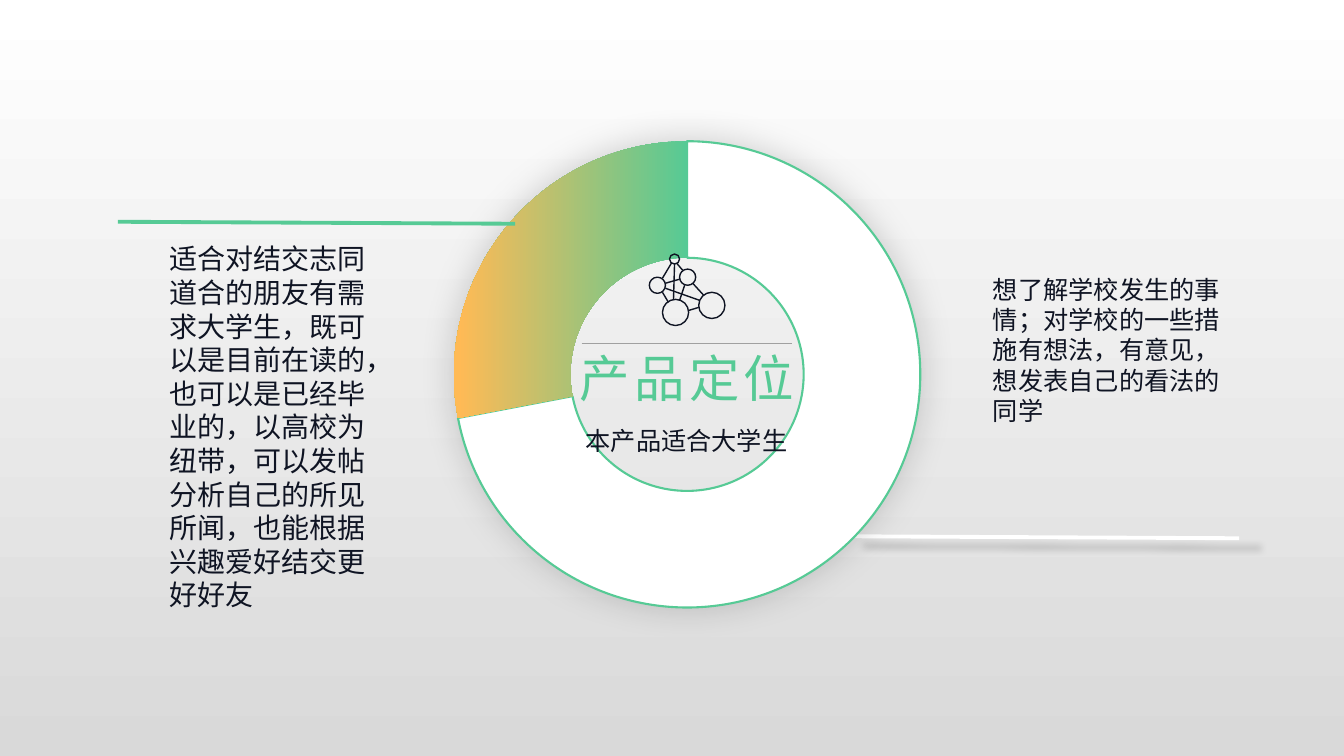
from math import pi

from lxml import etree
from pptx import Presentation
from pptx.chart.data import CategoryChartData
from pptx.dml.color import RGBColor
from pptx.enum.chart import XL_CHART_TYPE
from pptx.enum.shapes import MSO_CONNECTOR, MSO_SHAPE
from pptx.enum.text import MSO_ANCHOR, PP_ALIGN
from pptx.oxml import parse_xml
from pptx.oxml.ns import nsdecls, qn
from pptx.util import Inches, Pt

STRAIGHT = MSO_CONNECTOR.STRAIGHT
DONUT = MSO_SHAPE.DONUT
RING = XL_CHART_TYPE.DOUGHNUT
LEFT, CENTER = PP_ALIGN.LEFT, PP_ALIGN.CENTER
TOP = MSO_ANCHOR.TOP

FONT = "Noto Sans CJK SC"
GREEN, ORANGE, WHITE, INK = "56CA95", "FFBA55", "FFFFFF", "0F1423"

# Network icon: circles as (x, y, radius), then link ends
NODES = [(6.69, 2.57, 0.05), (6.52, 2.83, 0.08), (6.7, 3.1, 0.13),
         (6.82, 2.75, 0.08), (7.06, 3.03, 0.13)]
LINKS = [((6.93, 3.05), (6.83, 3.08)), ((6.6, 2.81), (6.74, 2.77)),
         ((6.74, 2.98), (6.79, 2.83)), ((6.63, 3), (6.57, 2.9)),
         ((6.94, 2.98), (6.6, 2.86)), ((6.66, 2.61), (6.57, 2.76)),
         ((6.98, 2.93), (6.87, 2.81)), ((6.68, 2.97), (6.69, 2.62)),
         ((6.71, 2.61), (6.77, 2.68))]
# Pull of a cubic curve that draws a quarter circle
PULL = 4 / 3 * (2 ** 0.5 - 1)
TURNS = [(-1, 0), (0, -1), (1, 0), (0, 1), (-1, 0)]


def color(code):
    return RGBColor.from_string(code)


def blend(fill, stops, angle):
    fill.gradient()
    fill.gradient_angle = angle
    for stop, (spot, code) in zip(fill.gradient_stops, stops):
        stop.position = spot
        stop.color.rgb = color(code)


def shade(shape, alpha, blur, dist=0, angle=0):
    """Give a shape a soft black shadow; no alpha means none."""
    props = shape._element.spPr
    for old in props.findall(qn("a:effectLst")):
        props.remove(old)
    effect = etree.SubElement(props, qn("a:effectLst"))
    if alpha:
        outer = etree.SubElement(
            effect, qn("a:outerShdw"), blurRad=str(Pt(blur)),
            dist=str(Pt(dist)), dir=str(angle * 60000), rotWithShape="0")
        black = etree.SubElement(outer, qn("a:srgbClr"), val="000000")
        etree.SubElement(black, qn("a:alpha"), val=str(alpha * 1000))


def add_line(slide, start, end, code, width):
    ends = [Inches(v) for v in start + end]
    line = slide.shapes.add_connector(STRAIGHT, *ends)
    line.line.color.rgb = color(code)
    line.line.width = Pt(width)
    shade(line, 0, 0)
    return line


def set_text(box, place, text, size, code=INK, align=LEFT):
    box.left, box.top, box.width, box.height = [Inches(v) for v in place]
    frame = box.text_frame
    frame.word_wrap = True
    frame.vertical_anchor = TOP
    frame.text = text
    para = frame.paragraphs[0]
    para.alignment = align
    para.font.size = Pt(size)
    para.font.name = FONT
    para.font.color.rgb = color(code)
    props = para._p.get_or_add_pPr().find(qn("a:defRPr"))
    etree.SubElement(props, qn("a:ea"), typeface=FONT)
    return para


def add_text(slide, place, *style, **more):
    box = slide.shapes.add_textbox(*[Inches(v) for v in place])
    return set_text(box, place, *style, **more)


def add_ring(slide):
    data = CategoryChartData()
    data.categories = ["1", "2"]
    data.add_series("Series 1", (72, 28))
    place = [Inches(v) for v in (3.31, 1.27, 7.01, 4.89)]
    chart = slide.shapes.add_chart(RING, *place, data).chart
    chart.has_legend = False
    chart.has_title = False
    chart.font.size = Pt(10)
    chart.font.name = "Arial"
    chart.font.color.rgb = color("000000")
    plot = chart.plots[0]
    plot.vary_by_categories = False
    plot._element.find(qn("c:holeSize")).set("val", "75")

    # Slices
    rest, part = [plot.series[0].points[i].format for i in range(2)]
    rest.fill.solid()
    rest.fill.fore_color.rgb = color(WHITE)
    rest.line.color.rgb = color(GREEN)
    rest.line.width = Pt(1.5)
    blend(part.fill, [(0, GREEN), (0.98, ORANGE)], 180)
    part.line.fill.background()

    # Clear backdrop and fixed plot area
    space = chart._chartSpace
    space.find(qn("c:chart")).addnext(parse_xml(
        f"<c:spPr {nsdecls('c', 'a')}><a:noFill/>"
        "<a:ln><a:noFill/></a:ln></c:spPr>"))
    area = space.find(".//" + qn("c:plotArea"))
    for old in area.findall(qn("c:layout")):
        area.remove(old)
    layout = etree.Element(qn("c:layout"))
    area.insert(0, layout)
    manual = etree.SubElement(layout, qn("c:manualLayout"))
    for tag, val in [("layoutTarget", "inner"), ("xMode", "edge"),
                     ("yMode", "edge"), ("x", "0.17"), ("y", "0.02"),
                     ("w", "0.66"), ("h", "0.96")]:
        etree.SubElement(manual, qn("c:" + tag), val=val)


def bend(leg, start, turn, after, radius):
    """Turn a straight leg of an outline into a quarter circle."""
    end = leg[0]
    x, y = int(end.get("x")), int(end.get("y"))
    pull = radius * PULL
    grips = [(start[0] + after[0] * pull, start[1] + after[1] * pull),
             (x + turn[0] * pull, y + turn[1] * pull)]
    curve = etree.Element(qn("a:cubicBezTo"))
    for px, py in grips + [(x, y)]:
        etree.SubElement(curve, qn("a:pt"), x=str(round(px)),
                         y=str(round(py)))
    leg.getparent().replace(leg, curve)
    return x, y


def add_icon(slide):
    paths = [([(x + r * u, y + r * v) for u, v in TURNS], True)
             for x, y, r in NODES]
    paths += [(link, False) for link in LINKS]
    pen = None
    for points, closed in paths:
        first, *others = [(Inches(x), Inches(y)) for x, y in points]
        if pen is None:
            pen = slide.shapes.build_freeform(*first)
        else:
            pen.move_to(*first)
        pen.add_line_segments(others, close=closed)
    icon = pen.convert_to_shape()

    # Round the closed outlines
    outline = icon._element.find(".//" + qn("a:path"))
    legs = outline.findall(qn("a:lnTo"))
    moves = outline.findall(qn("a:moveTo"))
    for i, (_, _, r) in enumerate(NODES):
        spot = int(moves[i][0].get("x")), int(moves[i][0].get("y"))
        for j, leg in enumerate(legs[4 * i:4 * i + 4]):
            spot = bend(leg, spot, TURNS[j], TURNS[j + 1], Inches(r))
    icon.fill.background()
    icon.line.color.rgb = color(INK)
    icon.line.width = Pt(1)
    icon.shadow.inherit = False


def main():
    deck = Presentation()
    deck.slide_width, deck.slide_height = Inches(13.33), Inches(7.5)
    slide = deck.slides.add_slide(deck.slide_layouts[5])
    blend(slide.background.fill, [(0, WHITE), (1, "D9D9D9")], 270)

    # Ring with its shadow and right-hand lead line
    lead = add_line(slide, (12.29, 5.34), (8.35, 5.32), WHITE, 2.75)
    shade(lead, 21, 5, 17, 24)
    base = slide.shapes.add_shape(
        DONUT, *[Inches(v) for v in (4.54, 1.43, 4.56, 4.56)])
    base.adjustments[0] = 0.11
    base.fill.solid()
    base.fill.fore_color.rgb = color(WHITE)
    base.line.fill.background()
    shade(base, 22, 28)
    add_ring(slide)

    # Centre of the ring
    add_icon(slide)
    title = slide.shapes.title
    para = set_text(title, (5.6, 3.39, 2.43, 0.71), "产品定位", 36,
                    GREEN, CENTER)
    para._p.pPr.find(qn("a:defRPr")).set("spc", "300")
    slide.shapes._spTree.append(title._element)
    add_line(slide, (5.77, 3.41), (7.86, 3.41), "A0A0A0", 0.75)
    para = add_text(slide, (5.66, 4.08, 2.3, 0.49), "本产品适合大学生", 18,
                    align=CENTER)
    para.line_spacing = 1.3

    # Side notes
    add_line(slide, (5.11, 2.22), (1.17, 2.2), GREEN, 2.75)
    add_text(slide, (1.58, 2.35, 2.3, 3.8),
             "适合对结交志同道合的朋友有需求大学生，既可以是目前在读的，"
             "也可以是已经毕业的，以高校为纽带，可以发帖分析自己的所见所闻，"
             "也能根据兴趣爱好结交更好好友", 20)
    add_text(slide, (9.75, 2.67, 2.55, 1.61),
             "想了解学校发生的事情；对学校的一些措施有想法，有意见，"
             "想发表自己的看法的同学", 18)

    deck.save("out.pptx")


if __name__ == "__main__":
    main()
